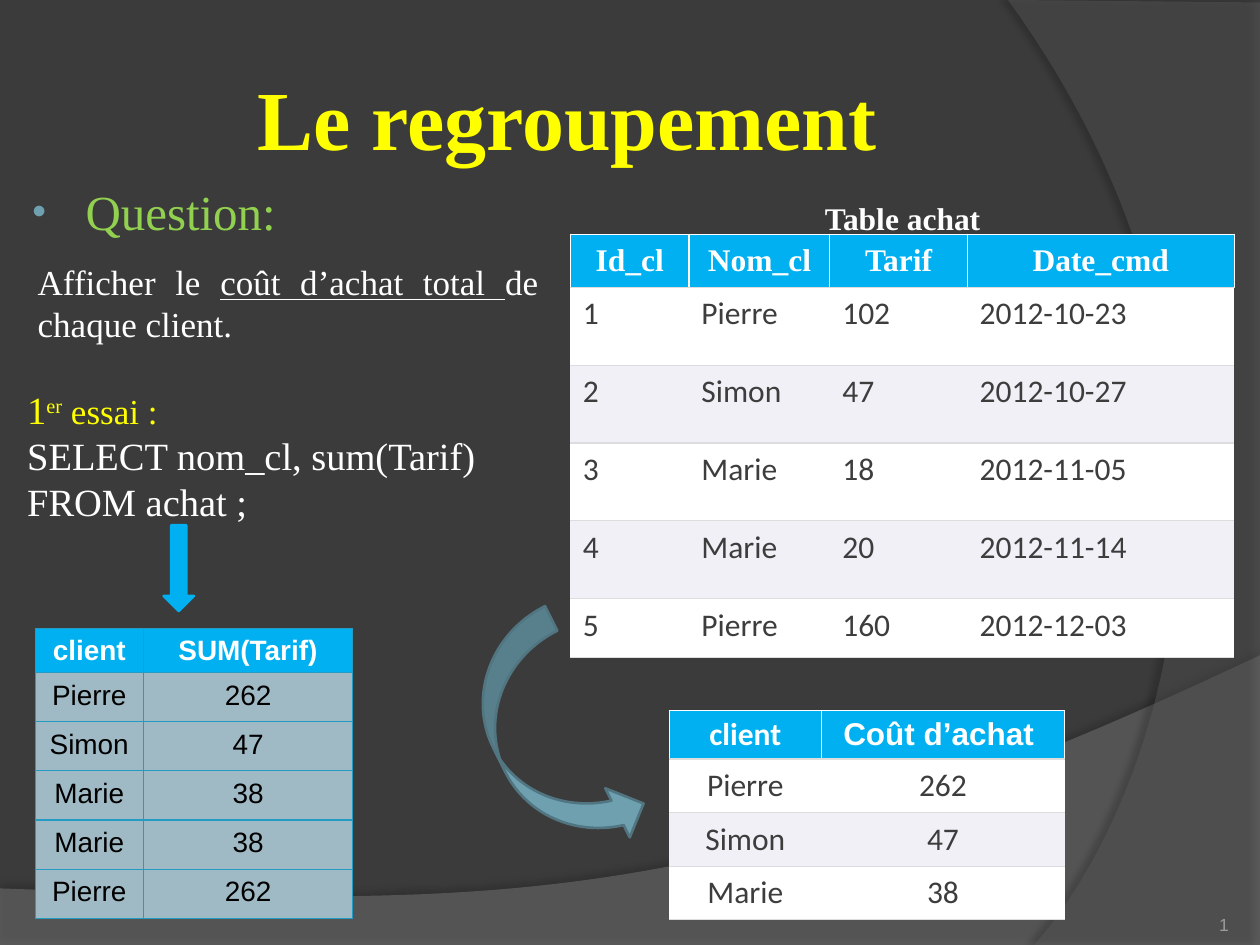
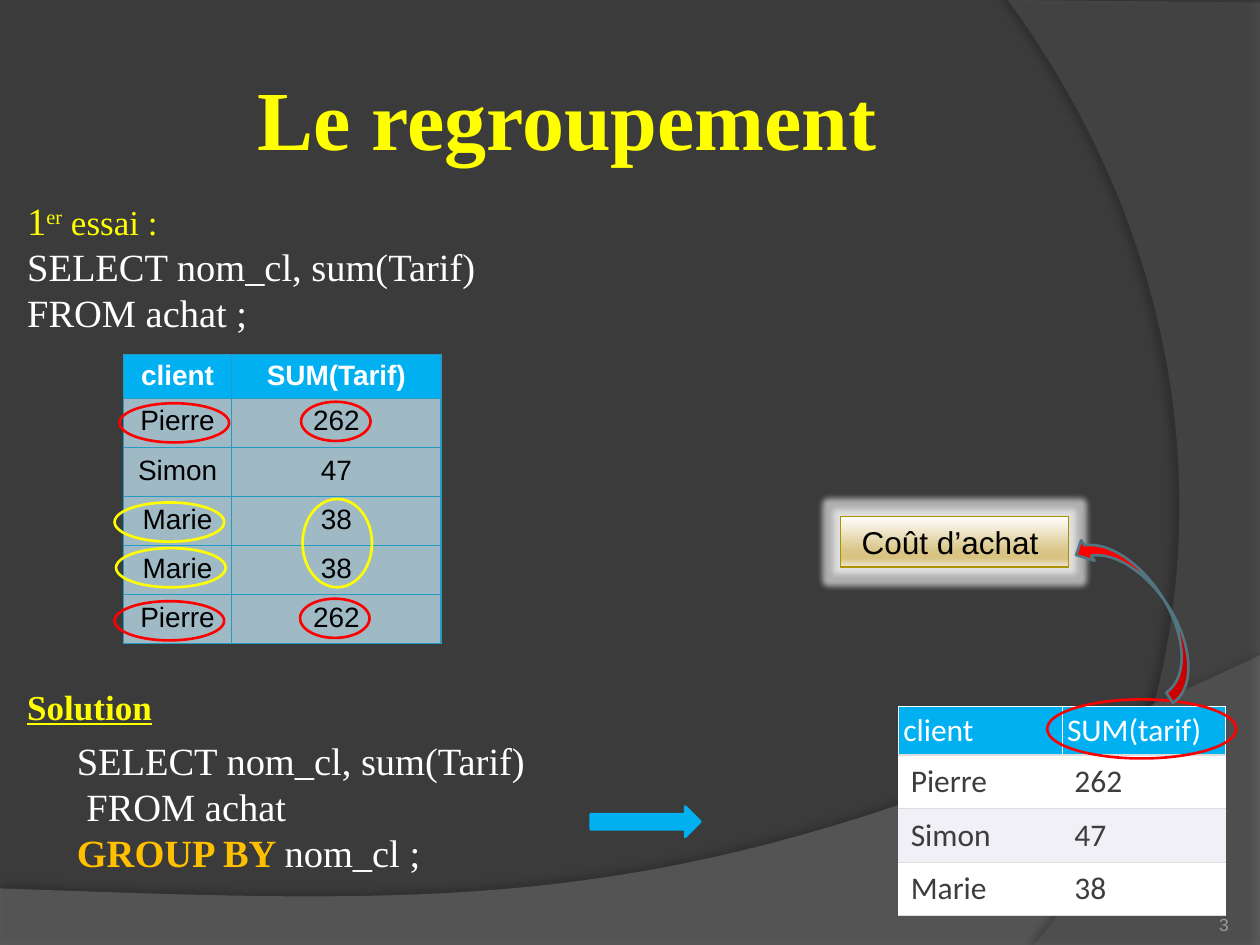
from dataclasses import dataclass
from typing import Optional, Sequence

from lxml import etree
from pptx import Presentation
from pptx.dml.color import RGBColor
from pptx.enum.shapes import MSO_SHAPE
from pptx.enum.text import MSO_ANCHOR, MSO_AUTO_SIZE, PP_ALIGN
from pptx.oxml.ns import qn
from pptx.util import Cm, Pt

ELLIPSE, RECTANGLE = MSO_SHAPE.OVAL, MSO_SHAPE.RECTANGLE
DOWN_ARROW, RIGHT_ARROW = MSO_SHAPE.DOWN_ARROW, MSO_SHAPE.RIGHT_ARROW
CURVED_LEFT, CURVED_DOWN = MSO_SHAPE.CURVED_LEFT_ARROW, MSO_SHAPE.CURVED_DOWN_ARROW
LEFT, CENTER, RIGHT, JUSTIFY = PP_ALIGN.LEFT, PP_ALIGN.CENTER, PP_ALIGN.RIGHT, PP_ALIGN.JUSTIFY
TOP, MIDDLE, BOTTOM = MSO_ANCHOR.TOP, MSO_ANCHOR.MIDDLE, MSO_ANCHOR.BOTTOM


@dataclass(frozen=True)
class Theme:
    background: str = "3B3B3B"
    yellow: str = "FFFF00"
    red: str = "FF0000"
    green: str = "92D050"
    orange: str = "FFC000"
    white: str = "FFFFFF"
    black: str = "000000"
    blue: str = "00B0F0"
    teal: str = "6EA0B0"
    teal_dark: str = "517682"
    number: str = "9D9B9A"
    cell_text: str = "3D3D3D"
    stripe: str = "F0F0F6"
    rule: str = "DDDDDD"
    sum_fill: str = "A0BAC5"
    sum_rule: str = "239BC2"
    gold_line: str = "AB9200"
    gold_stops: tuple = ((0, "FFFEFE"), (68, "D9C587"), (81, "D8C381"), (86, "DBC990"), (100, "EFE7D3"))
    serif: str = "Times New Roman"
    sans: str = "Arial"
    table_font: str = "Calibri"
    title_size: float = 48
    question_size: float = 28
    code_size: float = 22
    text_size: float = 20
    label_size: float = 18
    sum_size: float = 16
    number_size: float = 10
    thin: float = 0.75
    thick: float = 1.5


THEME = Theme()


@dataclass(frozen=True)
class Box:
    """A place on the slide, in centimetres."""
    left: float
    top: float
    width: float
    height: float

    def lengths(self) -> tuple:
        return Cm(self.left), Cm(self.top), Cm(self.width), Cm(self.height)


@dataclass(frozen=True)
class Run:
    text: str
    size: float = THEME.code_size
    color: str = THEME.white
    bold: bool = False
    underline: bool = False
    font: str = THEME.serif
    superscript: bool = False


@dataclass(frozen=True)
class Figure:
    kind: int
    box: Box
    fill: Optional[str]
    line: str
    rotation: float = 0
    flip: str = ""


@dataclass(frozen=True)
class Band:
    """A background area: straight corners, then a curve back from the last one."""
    corners: tuple
    curve: tuple
    color: str
    opacity: int
    shadow_opacity: int
    shadow_distance: float
    shadow_angle: int


@dataclass(frozen=True)
class TableStyle:
    font: str
    size: float
    text: str
    fills: tuple
    rule: str
    header_rule: str
    body_sides: bool
    header_bold: bool = True
    header_align: int = CENTER
    body_align: int = CENTER


LIGHT = dict(size=THEME.label_size, text=THEME.cell_text, fills=(THEME.white, THEME.stripe),
             rule=THEME.rule, header_rule=THEME.white, body_sides=False)
PURCHASE_STYLE = TableStyle(font=THEME.table_font, body_align=LEFT, **LIGHT)
COST_STYLE = TableStyle(font=THEME.table_font, **LIGHT)
GROUPED_STYLE = TableStyle(font=THEME.table_font, header_bold=False, header_align=LEFT,
                           body_align=LEFT, **LIGHT)
SUM_STYLE = TableStyle(THEME.sans, THEME.sum_size, THEME.black, (THEME.sum_fill,),
                       THEME.sum_rule, THEME.sum_rule, True)

BANDS = (
    Band(((0, 17.91), (0, 19.05), (25.4, 19.05), (25.4, 13.21)),
         ((14.2, 18.52), (9.93, 18.26), (0, 17.91)), "7F7F7F", 45, 35, 3.5, 270),
    Band(((25.4, 0.05), (25.4, 19.05), (20.85, 19.05)),
         ((23.75, 15.72), (25.86, 7.62), (20.32, 0)), "5E5E5E", 40, 45, 4, 180),
)

GROUPED_ROWS = (("Pierre", "262"), ("Simon", "47"), ("Marie", "38"))
SUM_ROWS = (("client", "SUM(Tarif)"), *GROUPED_ROWS, *reversed(GROUPED_ROWS[::2]))
PURCHASE_ROWS = (
    ("Id_cl", "Nom_cl", "Tarif", "Date_cmd"),
    ("1", "Pierre", "102", "2012-10-23"),
    ("2", "Simon", "47", "2012-10-27"),
    ("3", "Marie", "18", "2012-11-05"),
    ("4", "Marie", "20", "2012-11-14"),
    ("5", "Pierre", "160", "2012-12-03"),
)
FIRST_TRY = (
    (Run("1", color=THEME.yellow), Run("er", THEME.text_size, THEME.yellow, superscript=True),
     Run(" essai :", THEME.text_size, THEME.yellow)),
    (Run("SELECT nom_cl, sum(Tarif)"),),
    (Run("FROM achat ;"),),
)
SOLUTION = (
    (Run("SELECT nom_cl, sum(Tarif)"),),
    (Run(" FROM achat"),),
    (Run("GROUP BY ", color=THEME.orange, bold=True), Run("nom_cl ;")),
)


def ring(left: float, top: float, width: float, height: float, color: str) -> Figure:
    return Figure(ELLIPSE, Box(left, top, width, height), None, color)


RINGS = (
    *(ring(left, top, 2.21, 0.79, color) for left, top, color in (
        (2.41, 8.13, THEME.red), (2.31, 12.12, THEME.red),
        (2.31, 10.13, THEME.yellow), (2.34, 11.05, THEME.yellow))),
    ring(6.1, 10.06, 1.4, 1.78, THEME.yellow),
    ring(6.07, 8.1, 1.4, 0.79, THEME.red),
    ring(6.05, 12.07, 1.4, 0.79, THEME.red),
)


def add_color(parent, color: str, opacity: int = 100) -> None:
    element = etree.SubElement(parent, qn("a:srgbClr"), val=color)
    etree.SubElement(element, qn("a:alpha"), val=str(opacity * 1000))


def add_effect(shape, name: str, color: str, opacity: int, **attributes: str) -> None:
    shape.shadow.inherit = False
    effects = shape.element.spPr.find(qn("a:effectLst"))
    add_color(etree.SubElement(effects, qn(name), **attributes), color, opacity)


def write_runs(paragraph, runs: Sequence[Run], alignment: int = LEFT) -> None:
    paragraph.alignment = alignment
    for item in runs:
        run = paragraph.add_run()
        run.text = item.text
        run.font.name, run.font.size = item.font, Pt(item.size)
        run.font.bold, run.font.underline = item.bold, item.underline
        run.font.color.rgb = RGBColor.from_string(item.color)
        if item.superscript:
            run._r.get_or_add_rPr().set("baseline", "30000")


def set_margins(frame, horizontal: float, vertical: float) -> None:
    frame.margin_left = frame.margin_right = Cm(horizontal)
    frame.margin_top = frame.margin_bottom = Cm(vertical)


def place(shape, box: Box) -> None:
    shape.left, shape.top, shape.width, shape.height = box.lengths()


def add_text(slide, box: Box, lines: Sequence[Sequence[Run]], alignment: int = LEFT, wrap: bool = True):
    frame = slide.shapes.add_textbox(*box.lengths()).text_frame
    frame.word_wrap = wrap
    frame.auto_size = MSO_AUTO_SIZE.SHAPE_TO_FIT_TEXT
    for index, runs in enumerate(lines):
        paragraph = frame.add_paragraph() if index else frame.paragraphs[0]
        write_runs(paragraph, runs, alignment)
    return frame


def add_figure(slide, figure: Figure, line_width: float = THEME.thick):
    shape = slide.shapes.add_shape(figure.kind, *figure.box.lengths())
    shape.shadow.inherit = False
    if figure.fill:
        shape.fill.solid()
        shape.fill.fore_color.rgb = RGBColor.from_string(figure.fill)
    else:
        shape.fill.background()
    shape.line.color.rgb = RGBColor.from_string(figure.line)
    shape.line.width = Pt(line_width)
    shape.rotation = figure.rotation
    if figure.flip:
        shape.element.spPr.xfrm.set(figure.flip, "1")
    return shape


def set_borders(cell, sides: Optional[str], top: str, bottom: str) -> None:
    properties = cell._tc.get_or_add_tcPr()
    for index, (edge, color) in enumerate((("L", sides), ("R", sides), ("T", top), ("B", bottom))):
        line = etree.Element(qn(f"a:ln{edge}"), w=str(Pt(THEME.thin)))
        if color:
            add_color(etree.SubElement(line, qn("a:solidFill")), color)
        else:
            etree.SubElement(line, qn("a:noFill"))
        properties.insert(index, line)


def add_table(slide, left: float, top: float, widths: Sequence[float], heights: Sequence[float],
              rows: Sequence[Sequence[str]], style: TableStyle, header_fonts: Sequence[str]) -> None:
    box = Box(left, top, sum(widths), sum(heights))
    table = slide.shapes.add_table(len(rows), len(widths), *box.lengths()).table
    table.first_row = table.horz_banding = False
    for column, width in zip(table.columns, widths):
        column.width = Cm(width)
    for row_index, texts in enumerate(rows):
        table.rows[row_index].height = Cm(heights[row_index])
        header = row_index == 0
        for column_index, text in enumerate(texts):
            cell = table.cell(row_index, column_index)
            cell.fill.solid()
            fill = THEME.blue if header else style.fills[(row_index - 1) % len(style.fills)]
            cell.fill.fore_color.rgb = RGBColor.from_string(fill)
            cell.vertical_anchor = MIDDLE if header else TOP
            set_margins(cell, *((0.1, 0.1) if header else (0.25, 0.15)))
            run = Run(text, style.size, THEME.white if header else style.text,
                      header and style.header_bold,
                      font=header_fonts[column_index] if header else style.font)
            write_runs(cell.text_frame.paragraphs[0], (run,),
                       style.header_align if header else style.body_align)
            sides = style.header_rule if header else style.rule if style.body_sides else None
            set_borders(cell, sides, style.header_rule if header else style.rule, style.rule)


def add_sum_table(slide, left: float, top: float) -> None:
    add_table(slide, left, top, (2.18, 4.22), (0.89,) + (0.99,) * 5, SUM_ROWS, SUM_STYLE, (THEME.sans,) * 2)


def curve_points(start: tuple, controls: tuple, steps: int = 60) -> list:
    """Points along a cubic curve from start, without start itself."""
    points = (start, *controls)
    result = []
    for step in range(1, steps + 1):
        t = step / steps
        weights = ((1 - t) ** 3, 3 * t * (1 - t) ** 2, 3 * t * t * (1 - t), t ** 3)
        result.append(tuple(sum(w * p[axis] for w, p in zip(weights, points)) for axis in (0, 1)))
    return result


def decorate_master(presentation, slide) -> None:
    """Give the master its background and bands; slide only lends its shape builder."""
    master = presentation.slide_master
    master.background.fill.solid()
    master.background.fill.fore_color.rgb = RGBColor.from_string(THEME.background)
    for index, band in enumerate(BANDS):
        outline = [*band.corners, *curve_points(band.corners[-1], band.curve)]
        points = [(Cm(x), Cm(y)) for x, y in outline]
        builder = slide.shapes.build_freeform(*points[0])
        builder.add_line_segments(points[1:], close=True)
        shape = builder.convert_to_shape()
        shape.line.fill.background()
        shape.fill.solid()
        shape.fill.fore_color.rgb = RGBColor.from_string(band.color)
        color = shape.element.spPr.find(f"{qn('a:solidFill')}/{qn('a:srgbClr')}")
        etree.SubElement(color, qn("a:alpha"), val=str(band.opacity * 1000))
        add_effect(shape, "a:outerShdw", THEME.black, band.shadow_opacity, blurRad=str(Pt(4)),
                   dist=str(Pt(band.shadow_distance)), dir=str(band.shadow_angle * 60000))
        shape.element.nvSpPr.cNvPr.set("id", str(20 + index))
        master.shapes.element.insert(2 + index, shape.element)


def start_slide(presentation, layout: int, number: str):
    slide = presentation.slides.add_slide(presentation.slide_layouts[layout])
    title = slide.shapes.title
    place(title, Box(1.27, 0.76, 20.75, 3.18))
    title.text_frame.vertical_anchor = MIDDLE
    set_margins(title.text_frame, 0.13, 0.13)
    write_runs(title.text_frame.paragraphs[0],
               (Run("Le regroupement ", THEME.title_size, THEME.yellow, True),), CENTER)
    frame = add_text(slide, Box(22.66, 17.83, 2.11, 1.02),
                     ((Run(number, THEME.number_size, THEME.number, font=THEME.sans),),), RIGHT)
    frame.auto_size = MSO_AUTO_SIZE.NONE
    frame.vertical_anchor = BOTTOM
    set_margins(frame, 0, 0)
    return slide


def add_question(slide) -> None:
    body = slide.placeholders[1]
    place(body, Box(0.3, 3.53, 20.75, 1.47))
    paragraph = body.text_frame.paragraphs[0]
    write_runs(paragraph, (Run("Question:", THEME.question_size, THEME.green),))
    properties = paragraph._p.get_or_add_pPr()
    properties.set("marL", str(Cm(1.17)))
    properties.set("indent", str(Cm(-1.07)))
    add_color(etree.SubElement(properties, qn("a:buClr")), THEME.teal)
    etree.SubElement(properties, qn("a:buSzPct"), val="80000")
    etree.SubElement(properties, qn("a:buChar"), char="•")


def add_cost_label(slide) -> None:
    shape = add_figure(slide, Figure(RECTANGLE, Box(16.94, 10.41, 4.6, 1.02), None, THEME.gold_line), THEME.thin)
    shape.fill.gradient()
    shape.fill.gradient_angle = 270
    stops = shape.element.spPr.find(f"{qn('a:gradFill')}/{qn('a:gsLst')}")
    for stop in list(stops):
        stops.remove(stop)
    for position, color in THEME.gold_stops:
        add_color(etree.SubElement(stops, qn("a:gs"), pos=str(position * 1000)), color)
    add_effect(shape, "a:glow", THEME.white, 60, rad=str(Pt(7)))
    write_runs(shape.text_frame.paragraphs[0],
               (Run("Coût d’achat ", THEME.label_size, THEME.black, font=THEME.sans),), CENTER)


def build_problem_slide(presentation) -> None:
    slide = start_slide(presentation, 1, "1")
    decorate_master(presentation, slide)
    add_question(slide)
    add_table(slide, 11.5, 4.72, (2.39, 2.84, 2.77, 5.38), (1.07,) + (1.57,) * 4 + (1.19,),
              PURCHASE_ROWS, PURCHASE_STYLE, (THEME.serif,) * 4)
    add_text(slide, Box(0.51, 5.13, 10.59, 1.96), ((
        Run("Afficher le ", THEME.text_size),
        Run("coût d’achat total ", THEME.text_size, underline=True),
        Run("de chaque client. ", THEME.text_size)),), JUSTIFY)
    add_text(slide, Box(16.38, 3.89, 3.84, 1.02),
             ((Run("Table achat ", THEME.label_size, bold=True),),), JUSTIFY, wrap=False)
    add_table(slide, 13.49, 14.33, (3.07, 4.9), (0.97,) + (1.08,) * 3,
              (("client", "Coût d’achat "), *GROUPED_ROWS), COST_STYLE, (THEME.table_font, THEME.sans))
    add_figure(slide, Figure(CURVED_LEFT, Box(10.01, 12.45, 2.21, 5), THEME.teal, THEME.teal_dark, 333.5, "flipH"))
    add_text(slide, Box(0.3, 7.65, 11.61, 3.07), FIRST_TRY)
    add_sum_table(slide, 0.71, 12.67)
    add_figure(slide, Figure(DOWN_ARROW, Box(3.3, 10.59, 0.61, 1.73), THEME.blue, THEME.blue))


def build_solution_slide(presentation) -> None:
    slide = start_slide(presentation, 5, "3")
    add_text(slide, Box(0.3, 3.84, 11.61, 3.07), FIRST_TRY)
    add_sum_table(slide, 2.49, 7.14)
    for figure in RINGS:
        add_figure(slide, figure)
    add_text(slide, Box(1.3, 14.73, 16, 3.07), SOLUTION)
    add_text(slide, Box(0.3, 13.69, 3.05, 1.12),
             ((Run("Solution", THEME.text_size, THEME.yellow, True, True),),), wrap=False)
    add_figure(slide, Figure(RIGHT_ARROW, Box(11.91, 16.26, 2.21, 0.61), THEME.blue, THEME.blue))
    add_table(slide, 18.11, 14.25, (3.3, 3.3), (0.97,) + (1.08,) * 3,
              (("client", "SUM(tarif)"), *GROUPED_ROWS), GROUPED_STYLE, (THEME.table_font,) * 2)
    add_figure(slide, ring(21.11, 14.1, 3.81, 1.19, THEME.red))
    add_cost_label(slide)
    add_figure(slide, Figure(CURVED_DOWN, Box(21.11, 11.81, 3.81, 0.99), THEME.red, THEME.teal_dark, 236.8, "flipV"))


def main() -> None:
    presentation = Presentation()
    presentation.slide_width, presentation.slide_height = Cm(25.4), Cm(19.05)
    build_problem_slide(presentation)
    build_solution_slide(presentation)
    presentation.save("out.pptx")


if __name__ == "__main__":
    main()
